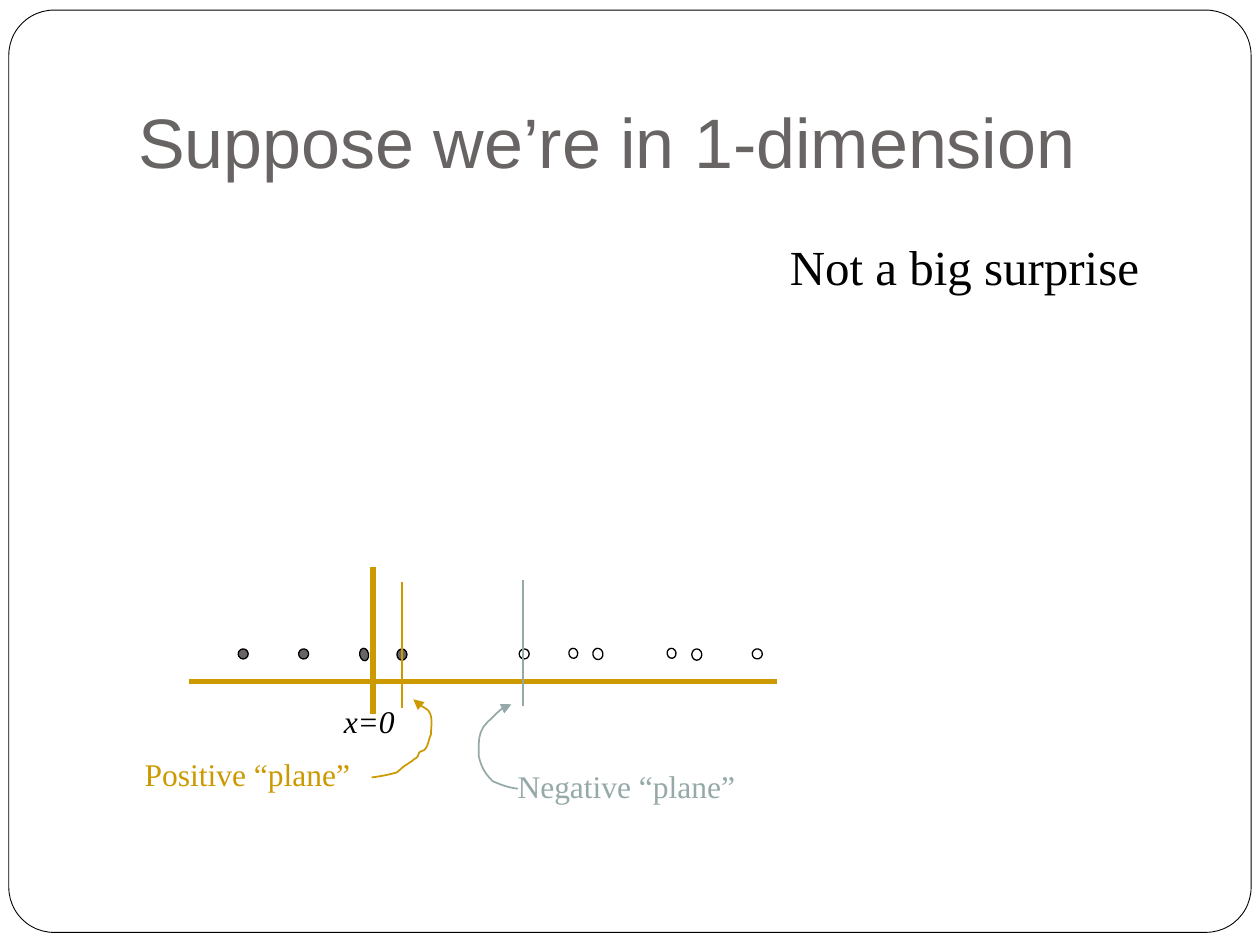
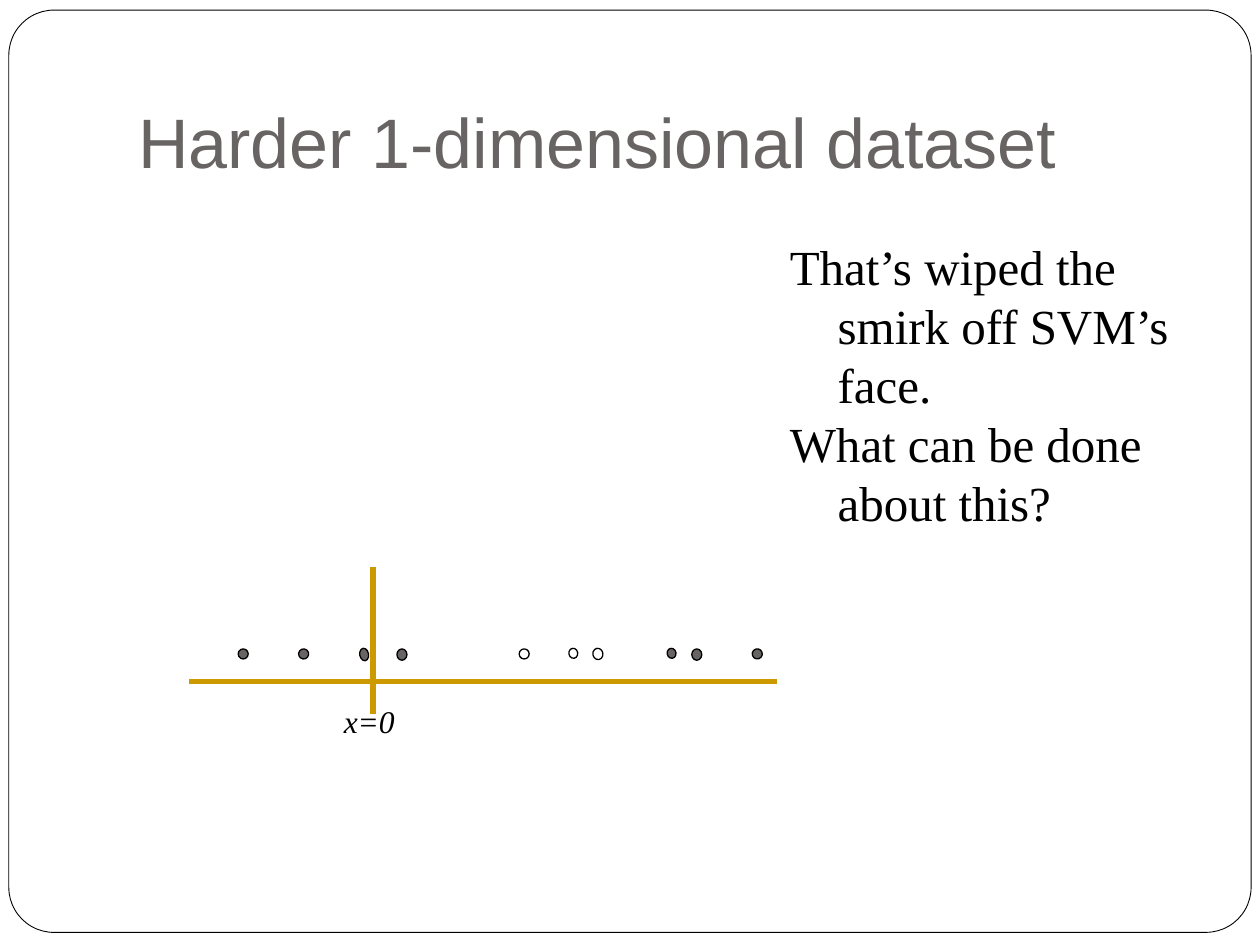
from lxml.etree import SubElement
from pptx import Presentation
from pptx.dml.color import RGBColor
from pptx.enum.shapes import MSO_CONNECTOR as Connector, MSO_SHAPE as Preset
from pptx.enum.text import MSO_ANCHOR as Anchor, MSO_AUTO_SIZE as AutoSize
from pptx.oxml.ns import qn
from pptx.util import Inches, Pt

BLACK, WHITE, GREY = "000000", "FFFFFF", "696464"
GOLD, SAGE = "CC9900", "96A9A9"
SERIF, SANS = "Times New Roman", "Arial"
HANGING = 0.38

DOTS = [
    (1.89, 5.15, 0.08, 0.08, 0),
    (2.37, 5.15, 0.08, 0.08, 98.2),
    (2.84, 5.16, 0.10, 0.07, 79.6),
    (3.15, 5.15, 0.08, 0.09, 0),
    (4.12, 5.15, 0.08, 0.08, 0),
    (4.51, 5.15, 0.08, 0.07, 79.6),
    (4.70, 5.15, 0.09, 0.08, 79.6),
    (5.29, 5.15, 0.08, 0.07, 79.6),
    (5.49, 5.15, 0.08, 0.09, 0),
    (5.97, 5.15, 0.08, 0.08, 341.4),
]
POSITIVE_ARROW = [
    (2.95, 6.17),
    (3.03, 6.16), (3.08, 6.15), (3.15, 6.13),
    (3.22, 6.07), (3.18, 6.10), (3.27, 6.04),
    (3.28, 6.03), (3.31, 6.01), (3.31, 6.01),
    (3.32, 6.00), (3.32, 5.98), (3.33, 5.97),
    (3.34, 5.96), (3.36, 5.96), (3.37, 5.95),
    (3.40, 5.92), (3.40, 5.87), (3.42, 5.83),
    (3.42, 5.77), (3.44, 5.69), (3.40, 5.64),
    (3.38, 5.62), (3.32, 5.59), (3.32, 5.59),
    (3.29, 5.55), (3.31, 5.55), (3.28, 5.55),
]
NEGATIVE_ARROW = [
    (4.11, 6.26),
    (4.03, 6.25), (3.98, 6.23), (3.91, 6.20),
    (3.85, 6.14), (3.82, 6.09), (3.80, 6.00),
    (3.80, 5.89), (3.79, 5.81), (3.87, 5.73),
    (3.91, 5.70), (3.97, 5.62), (4.03, 5.60),
    (4.04, 5.60), (4.06, 5.59), (4.06, 5.59),
]


def color(value):
    """Turn a hex string into a colour."""
    return RGBColor.from_string(value)


def curve_points(controls, steps=6):
    """Sample a chain of cubic curves given by its control points."""
    points = [controls[0]]
    for first in range(0, len(controls) - 1, 3):
        corners = controls[first:first + 4]
        for step in range(1, steps + 1):
            t = step / steps
            weights = ((1 - t) ** 3, 3 * t * (1 - t) ** 2, 3 * t * t * (1 - t), t ** 3)
            points.append(tuple(
                sum(weight * corner[axis] for weight, corner in zip(weights, corners))
                for axis in (0, 1)))
    return points


class SlideBuilder:
    """Hold the shared style and the current slide."""

    def __init__(self):
        """Start a deck of 10 by 7.5 inch slides."""
        self.deck = Presentation()
        self.deck.slide_width, self.deck.slide_height = Inches(10), Inches(7.5)
        self.page = None

    def new_page(self, title):
        """Add a slide with the rounded frame and its title."""
        self.page = self.deck.slides.add_slide(self.deck.slide_layouts[6])
        frame = self.shape(Preset.ROUNDED_RECTANGLE, (0.07, 0.08, 9.86, 7.32), WHITE, 0.5)
        frame.adjustments[0] = 0.049
        box = self.text((1, 0.3, 8.5, 1.25), [title], 40, GREY, SANS, hanging=0)
        box.text_frame.auto_size = AutoSize.NONE
        box.text_frame.vertical_anchor = Anchor.BOTTOM
        box.text_frame.margin_bottom = Inches(0.1)

    def shape(self, preset, place, fill, width):
        """Add a filled preset shape with a black outline."""
        shape = self.page.shapes.add_shape(preset, *map(Inches, place))
        shape.shadow.inherit = False
        shape.fill.solid()
        shape.fill.fore_color.rgb = color(fill)
        self.stroke(shape, BLACK, width)
        return shape

    def stroke(self, shape, ink, width):
        """Set the line colour and width of a shape."""
        shape.line.color.rgb = color(ink)
        shape.line.width = Pt(width)

    def line(self, start, end, ink, width):
        """Add a straight line."""
        line = self.page.shapes.add_connector(
            Connector.STRAIGHT, *map(Inches, (*start, *end)))
        self.stroke(line, ink, width)
        SubElement(line.element.spPr, qn("a:effectLst"))

    def curved_arrow(self, controls, ink):
        """Add an open curve that ends in an arrowhead."""
        start, *others = [tuple(map(Inches, point)) for point in curve_points(controls)]
        builder = self.page.shapes.build_freeform(*start)
        builder.add_line_segments(others, close=False)
        arrow = builder.convert_to_shape()
        arrow.shadow.inherit = False
        arrow.fill.background()
        self.stroke(arrow, ink, 1)
        outline = arrow.element.spPr.find(qn("a:ln"))
        SubElement(outline, qn("a:tailEnd"), type="triangle")

    def text(self, place, lines, size, ink=BLACK, font=SERIF, italic=False, hanging=HANGING):
        """Add a text box with one hanging paragraph per line."""
        box = self.page.shapes.add_textbox(*map(Inches, place))
        frame = box.text_frame
        frame.word_wrap = True
        frame.auto_size = AutoSize.SHAPE_TO_FIT_TEXT
        frame.text = "\n".join(lines)
        for para in frame.paragraphs:
            properties = para._p.get_or_add_pPr()
            properties.set("marL", str(Inches(hanging)))
            properties.set("indent", str(-Inches(hanging)))
            for span in para.runs:
                span.font.name = font
                span.font.size = Pt(size)
                span.font.italic = italic
                span.font.color.rgb = color(ink)
        return box

    def number_line(self, classes):
        """Draw the axes and dots, where + marks a filled dot."""
        self.line((2.96, 4.5), (2.96, 5.67), GOLD, 3)
        self.line((1.5, 5.41), (6.17, 5.41), GOLD, 3)
        for (*place, angle), sign in zip(DOTS, classes):
            dot = self.shape(Preset.OVAL, place, GREY if sign == "+" else WHITE, 0.75)
            dot.rotation = angle
        self.text((2.63, 5.52, 0.99, 0.4), ["x=0"], 18, italic=True)

    def remark(self, lines, height):
        """Add the large remark at the upper right."""
        self.text((6.17, 1.83, 3.25, height), lines, 28)

    def plane(self, label, corner, bottom, controls, ink):
        """Draw a margin plane with its label and arrow."""
        left, base = bottom
        self.line(bottom, (left, base - 1), ink, 1)
        self.text((*corner, 2.44, 0.4), [label], 18, ink)
        self.curved_arrow(controls, ink)


def main():
    """Build both slides and save the deck."""
    builder = SlideBuilder()

    builder.new_page("Suppose we’re in 1-dimension")
    builder.number_line("++++------")
    builder.remark(["Not a big surprise"], 0.57)
    builder.plane("Positive “plane”", (1.05, 5.94), (3.19, 5.62), POSITIVE_ARROW, GOLD)
    builder.plane("Negative “plane”", (4.01, 6.04), (4.15, 5.6), NEGATIVE_ARROW, SAGE)

    builder.new_page("Harder 1-dimensional dataset")
    builder.number_line("++++---+++")
    builder.remark(["That’s wiped the smirk off SVM’s face.",
                    "What can be done about this?"], 2.44)

    builder.deck.save("out.pptx")


if __name__ == "__main__":
    main()
